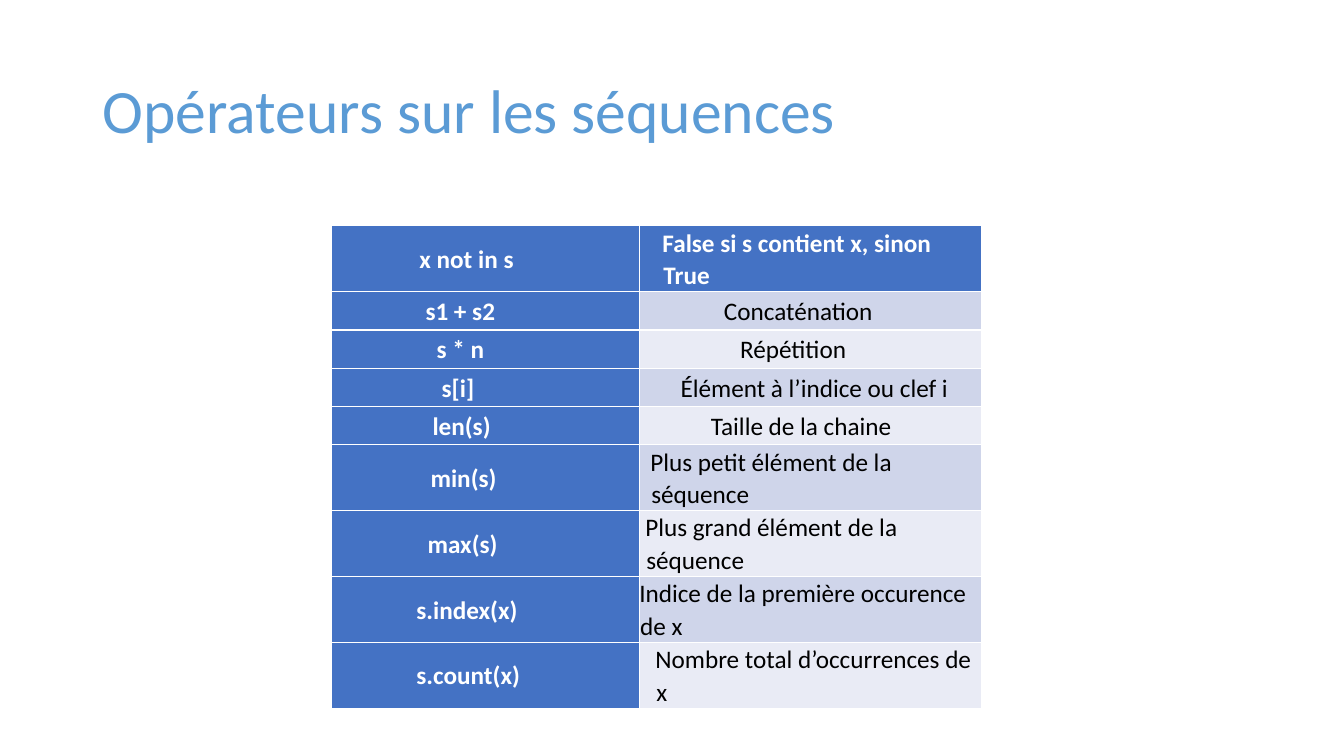
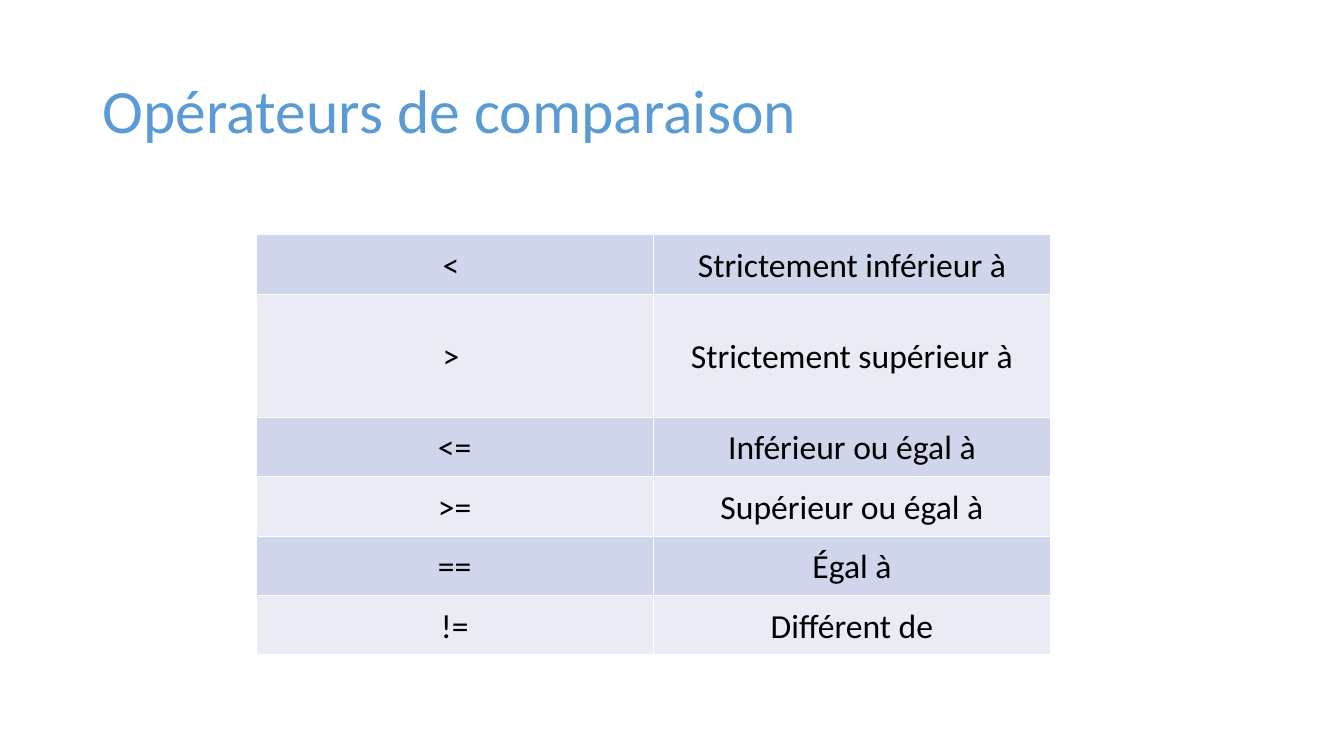
"""Build two slides of Python operator tables: sequences and comparisons."""
from pptx import Presentation
from pptx.dml.color import RGBColor
from pptx.enum.text import MSO_ANCHOR, PP_ALIGN
from pptx.util import Inches, Pt

LEFT, CENTER = PP_ALIGN.LEFT, PP_ALIGN.CENTER
MIDDLE = MSO_ANCHOR.MIDDLE
FONT = "Calibri"
COLORS = {"title": "5B9BD5", "header": "4472C4", "dark_band": "CFD5EA",
          "light_band": "E9EBF5", "white": "FFFFFF", "black": "000000"}
BANDS = ("dark_band", "light_band")

prs = Presentation()
prs.slide_width, prs.slide_height = Inches(13.33), Inches(7.5)
title_only = prs.slide_layouts[5]


def style_paragraph(paragraph, size, color, spacing, align=LEFT, bold=False):
    paragraph.alignment = align
    paragraph.line_spacing = spacing
    paragraph.font.name = FONT
    paragraph.font.size = Pt(size)
    paragraph.font.bold = bold
    paragraph.font.color.rgb = RGBColor.from_string(COLORS[color])


def add_table_slide(heading, left, top, widths, heights, has_header):
    slide = prs.slides.add_slide(title_only)
    title = slide.shapes.title
    title.left, title.top = Inches(0.92), Inches(0.4)
    title.width, title.height = Inches(11.5), Inches(1.45)
    title.text_frame.text = heading
    title.text_frame.vertical_anchor = MIDDLE
    style_paragraph(title.text_frame.paragraphs[0], 44, "title", 0.9)
    table = slide.shapes.add_table(
        len(heights), len(widths), Inches(left), Inches(top),
        Inches(sum(widths)), Inches(sum(heights))).table
    table.first_row = table.first_col = has_header
    for column, width in zip(table.columns, widths):
        column.width = Inches(width)
    for row, height in zip(table.rows, heights):
        row.height = Inches(height)
    for cell in table.iter_cells():
        cell.vertical_anchor = MIDDLE
        cell.margin_left = Inches(0 if has_header else 0.08)
        cell.margin_right = Inches(0.08)
        cell.margin_top = cell.margin_bottom = 0
        cell.fill.solid()
    return table


sequence_operators = [
    (("x not in s", 0.88), ("False si s contient x, sinon True", 0.24)),
    (("s1 + s2", 0.94), ("Concaténation", 0.85)),
    (("s * n", 1.05), ("Répétition", 1.01)),
    (("s[i]", 1.1), ("Élément à l’indice ou clef i", 0.42)),
    (("len(s)", 1.01), ("Taille de la chaine", 0.72)),
    (("min(s)", 0.99), ("Plus petit élément de la séquence", 0.12)),
    (("max(s)", 0.96), ("Plus grand élément de la séquence", 0.07)),
    (("s.index(x)", 0.85), ("Indice de la première occurence de x", 0.01)),
    (("s.count(x)", 0.85), ("Nombre total d’occurrences de x", 0.17)),
]
sequences = add_table_slide("Opérateurs sur les séquences", 3.29, 2.24, [3.05, 3.4],
                            [0.38] * len(sequence_operators), True)
for r, entries in enumerate(sequence_operators):
    for c, (label, indent) in enumerate(entries):
        cell = sequences.cell(r, c)
        is_header = r == 0 or c == 0
        band = "header" if is_header else BANDS[(r - 1) % 2]
        cell.fill.fore_color.rgb = RGBColor.from_string(COLORS[band])
        cell.text = label
        paragraph = cell.text_frame.paragraphs[0]
        style_paragraph(paragraph, 18, "white" if is_header else "black", 1.07,
                        bold=is_header)
        properties = paragraph._p.get_or_add_pPr()
        properties.set("marL", str(Inches(indent)))
        properties.set("indent", str(Inches(-0.01)))

comparison_operators = [
    ("<\u00a0", "Strictement inférieur à"),
    (">\u00a0", "Strictement supérieur à"),
    ("<=", "Inférieur ou égal à"),
    (">=", "Supérieur ou égal à"),
    ("==", "Égal à"),
    ("!=", "Différent de"),
]
comparisons = add_table_slide("Opérateurs de comparaison", 2.54, 2.33, [3.94, 3.94],
                              [0.59, 1.22] + [0.59] * 4, False)
for r, entries in enumerate(comparison_operators):
    for c, label in enumerate(entries):
        cell = comparisons.cell(r, c)
        cell.fill.fore_color.rgb = RGBColor.from_string(COLORS[BANDS[r % 2]])
        cell.text = label
        style_paragraph(cell.text_frame.paragraphs[0], 24, "black", 1.07, CENTER)

prs.save("out.pptx")
